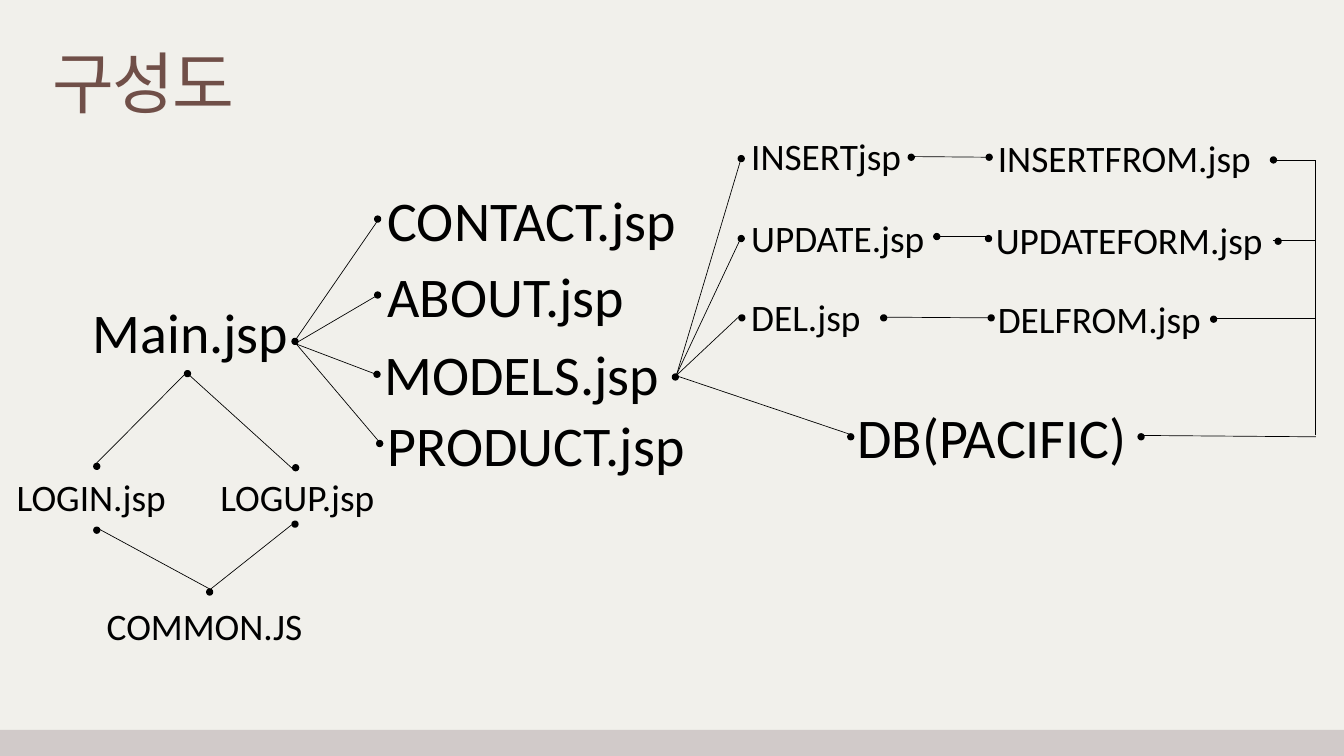
from typing import NamedTuple

import lxml.etree
import pptx
import pptx.dml.color
import pptx.enum.shapes
import pptx.enum.text
import pptx.oxml.ns
import pptx.util

PX = 9144
BLACK = "000000"
DOT = 8


class Label(NamedTuple):
    x: int
    y: int
    w: int
    text: str
    size: int


class Dot(NamedTuple):
    x: int
    y: int


class Link(NamedTuple):
    x1: int
    y1: int
    x2: int
    y2: int


HEIGHTS = {60: 111, 40: 77}

LABELS = [
    Label(128, 438, 383, "Main.jsp", 60),
    Label(567, 271, 587, "CONTACT.jsp", 60),
    Label(567, 384, 510, "ABOUT.jsp", 60),
    Label(562, 500, 587, "MODELS.jsp", 60),
    Label(567, 606, 587, "PRODUCT.jsp", 60),
    Label(1266, 594, 429, "DB(PACIFIC)", 60),
    Label(15, 701, 383, "LOGIN.jsp", 40),
    Label(318, 700, 383, "LOGUP.jsp", 40),
    Label(149, 893, 383, "COMMON.JS", 40),
    Label(1108, 193, 383, "INSERTjsp", 40),
    Label(1108, 315, 383, "UPDATE.jsp", 40),
    Label(1108, 433, 383, "DEL.jsp", 40),
    Label(1475, 196, 429, "INSERTFROM.jsp", 40),
    Label(1472, 318, 429, "UPDATEFORM.jsp", 40),
    Label(1475, 436, 429, "DELFROM.jsp", 40),
]

MAIN_DOTS = [Dot(435, 504), Dot(558, 322), Dot(558, 435), Dot(557, 553), Dot(561, 656)]
LOGIN_DOTS = [Dot(275, 552), Dot(140, 690), Dot(436, 692),
              Dot(140, 785), Dot(435, 776), Dot(308, 877)]
MODEL_DOTS = [Dot(1001, 557), Dot(1099, 232), Dot(1099, 351), Dot(1100, 469), Dot(1262, 646)]
FORM_DOTS = [Dot(1352, 230), Dot(1468, 230), Dot(1390, 348),
             Dot(1467, 351), Dot(1311, 469), Dot(1471, 469)]
DB_DOTS = [Dot(1891, 234), Dot(1898, 355), Dot(1802, 471), Dot(1694, 646)]

MAIN_LINKS = [Link(441, 504, 563, 327), Link(443, 509, 559, 441),
              Link(441, 512, 557, 556), Link(441, 512, 563, 656)]
LOGIN_LINKS = [Link(277, 554, 436, 698), Link(280, 552, 142, 691),
               Link(313, 877, 145, 786), Link(434, 781, 313, 877)]
MODEL_LINKS = [Link(1007, 557, 1104, 232), Link(1007, 557, 1104, 351),
               Link(1003, 562, 1102, 469), Link(1264, 646, 1006, 559)]
FORM_LINKS = [Link(1473, 234, 1358, 233), Link(1471, 352, 1392, 352),
              Link(1472, 473, 1317, 472)]
DB_LINKS = [Link(1958, 238, 1895, 238), Link(1958, 358, 1895, 358),
            Link(1958, 474, 1800, 474), Link(1958, 650, 1700, 648),
            Link(1958, 648, 1958, 238)]


def rgb(value: str) -> pptx.dml.color.RGBColor:
    return pptx.dml.color.RGBColor.from_string(value)


def px(*values: int) -> list[int]:
    return [pptx.util.Emu(v * PX) for v in values]


def add_run(p, text: str, size: int, font: str, color: str):
    r = p.add_run()
    r.text = text
    r.font.size = pptx.util.Pt(size)
    r.font.name = font
    r.font.color.rgb = rgb(color)
    return r


def draw_title(s, text: str) -> None:
    sp = s.shapes.title
    sp.left, sp.top, sp.width, sp.height = px(78, 72, 866, 113)
    tf = sp.text_frame
    tf.margin_left = tf.margin_top = tf.margin_right = tf.margin_bottom = 0
    tf.vertical_anchor = pptx.enum.text.MSO_ANCHOR.TOP
    tf.auto_size = pptx.enum.text.MSO_AUTO_SIZE.SHAPE_TO_FIT_TEXT
    tf.word_wrap = True
    p = tf.paragraphs[0]
    p.alignment = pptx.enum.text.PP_ALIGN.LEFT
    p.line_spacing = pptx.util.Pt(79.2)
    font = "Noto Sans CJK KR"
    r = add_run(p, text, 72, font, "704F48")
    rpr = r.font._element
    rpr.set("spc", "-180")
    lxml.etree.SubElement(rpr, pptx.oxml.ns.qn("a:ea"), typeface=font)


def draw_label(s, label: Label) -> None:
    sp = s.shapes.add_textbox(*px(label.x, label.y, label.w, HEIGHTS[label.size]))
    tf = sp.text_frame
    tf.word_wrap = True
    tf.auto_size = pptx.enum.text.MSO_AUTO_SIZE.SHAPE_TO_FIT_TEXT
    add_run(tf.paragraphs[0], label.text, label.size, "Calibri", BLACK)


def draw_shape(s, kind, x: int, y: int, w: int, h: int, color: str):
    sp = s.shapes.add_shape(kind, *px(x, y, w, h))
    sp.shadow.inherit = False
    sp.fill.solid()
    sp.fill.fore_color.rgb = rgb(color)
    sp.line.fill.background()
    return sp


def draw_dot(s, dot: Dot) -> None:
    sp = draw_shape(s, pptx.enum.shapes.MSO_SHAPE.OVAL, dot.x, dot.y, DOT, DOT, BLACK)
    sp.line.color.rgb = rgb(BLACK)
    sp.line.width = pptx.util.Pt(2)


def draw_link(s, link: Link) -> None:
    sp = s.shapes.add_connector(pptx.enum.shapes.MSO_CONNECTOR.STRAIGHT, *px(*link))
    sp.line.color.rgb = rgb(BLACK)
    sp.line.width = pptx.util.Pt(0.75)
    lxml.etree.SubElement(sp._element.spPr, pptx.oxml.ns.qn("a:effectLst"))


def main() -> None:
    prs = pptx.Presentation()
    prs.slide_width, prs.slide_height = px(2000, 1125)
    s = prs.slides.add_slide(prs.slide_layouts[5])
    s.background.fill.solid()
    s.background.fill.fore_color.rgb = rgb("F1F0EB")
    draw_title(s, "구성도")
    draw_shape(s, pptx.enum.shapes.MSO_SHAPE.RECTANGLE, -20, 1086, 2040, 79, "D1CAC9")
    for label in LABELS:
        draw_label(s, label)
    for link in MAIN_LINKS + LOGIN_LINKS + MODEL_LINKS + FORM_LINKS + DB_LINKS:
        draw_link(s, link)
    for dot in MAIN_DOTS + LOGIN_DOTS + MODEL_DOTS + FORM_DOTS + DB_DOTS:
        draw_dot(s, dot)
    prs.save("out.pptx")


if __name__ == "__main__":
    main()
